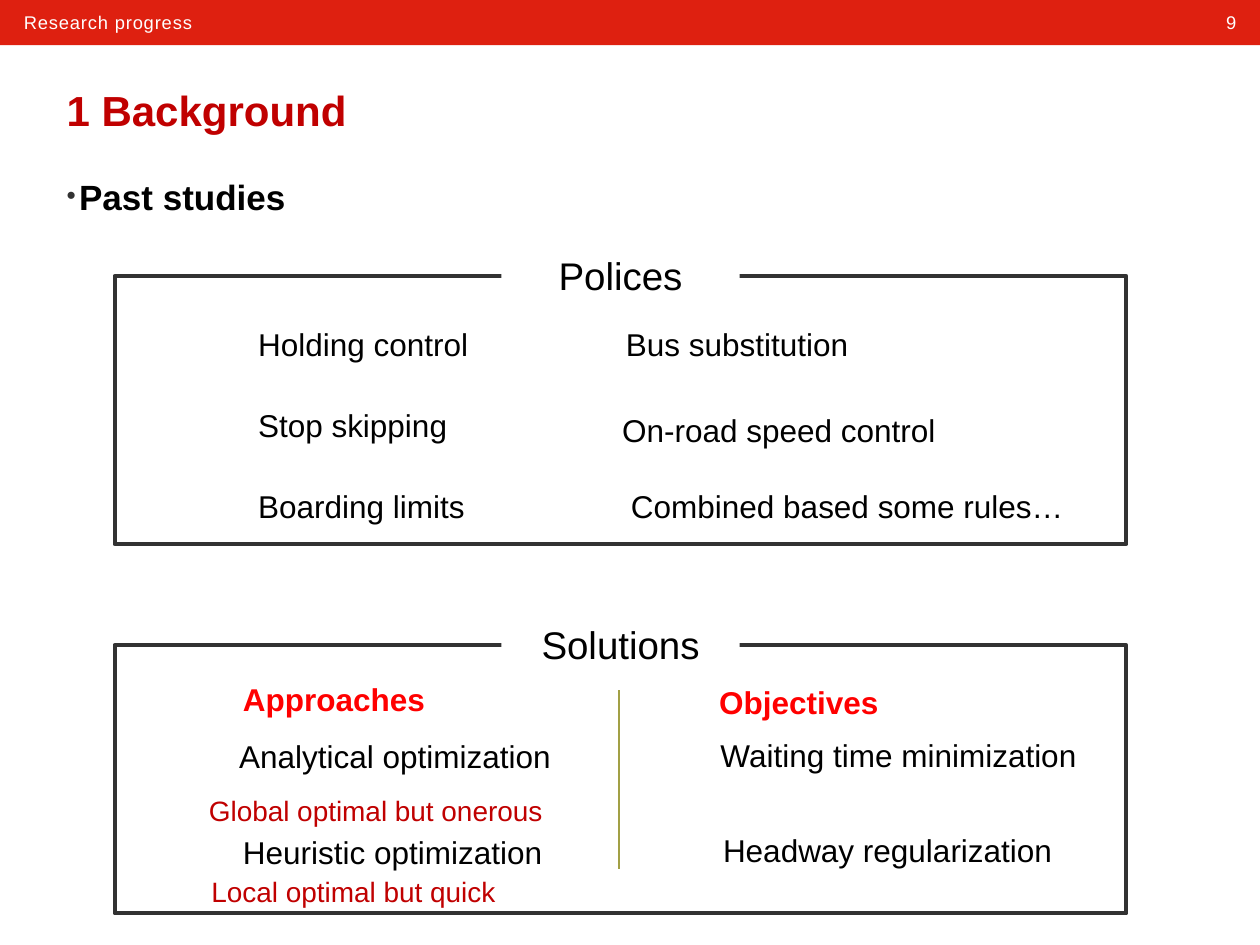
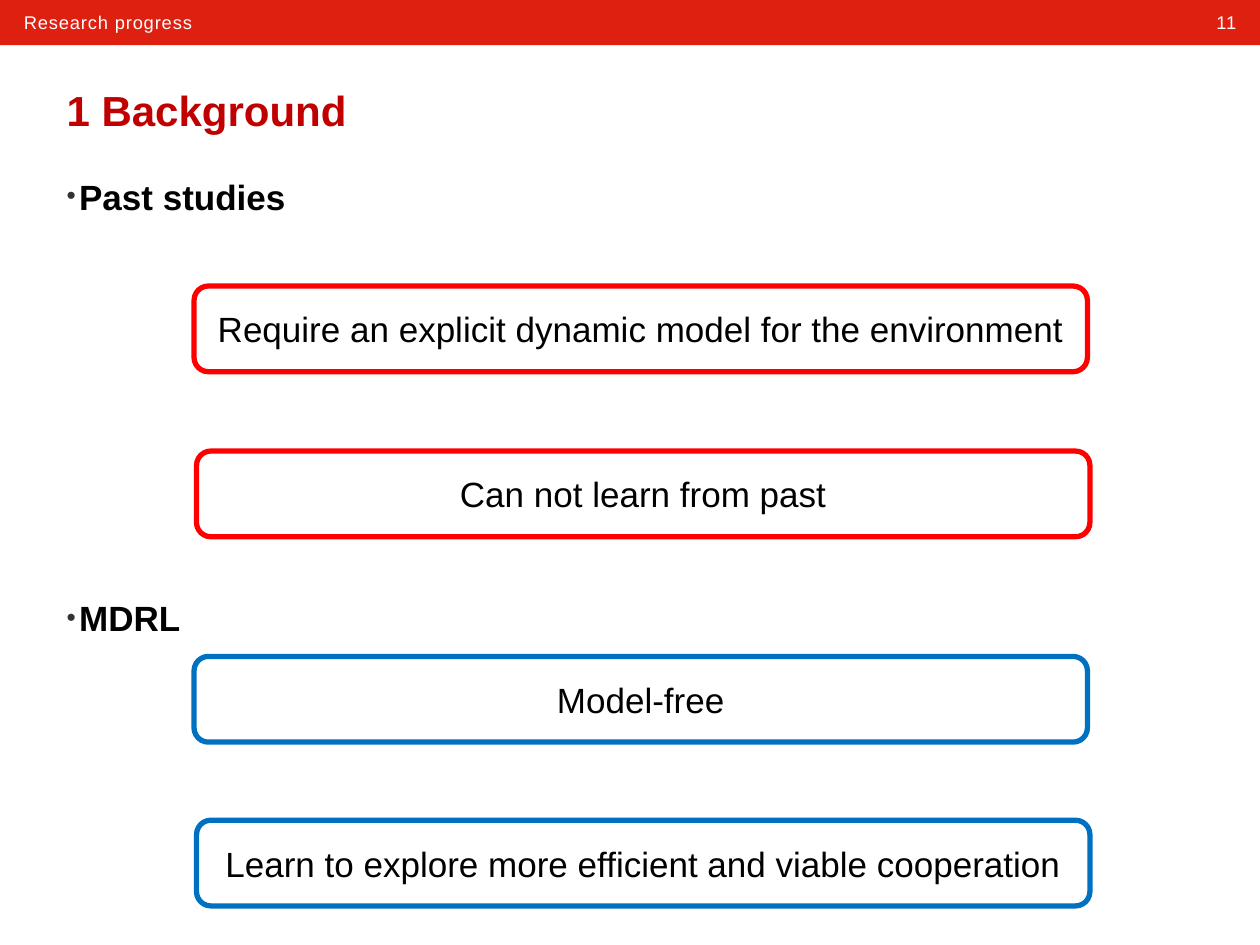
from lxml import etree
from pptx import Presentation
from pptx.dml.color import RGBColor
from pptx.enum import shapes, text
from pptx.oxml.ns import qn
from pptx.util import Inches, Pt

C = {"band": "DE2010", "title": "C00000", "alert": "FF0000", "blue": "0070C0",
     "frame": "323232", "rule": "A2A045", "black": "000000", "white": "FFFFFF"}
LEFT, CENTER, RIGHT = text.PP_ALIGN.LEFT, text.PP_ALIGN.CENTER, text.PP_ALIGN.RIGHT
TOP, MIDDLE = text.MSO_ANCHOR.TOP, text.MSO_ANCHOR.MIDDLE
RECT, ROUND = shapes.MSO_SHAPE.RECTANGLE, shapes.MSO_SHAPE.ROUNDED_RECTANGLE


def write(sp, lines, size, color="black", bold=False, align=LEFT, anchor=TOP):
    tf = sp.text_frame
    tf.text = lines
    tf.word_wrap = True
    tf.vertical_anchor = anchor
    for p in tf.paragraphs:
        p.alignment = align
        for r in p.runs:
            r.font.name, r.font.size, r.font.bold = "Arial", Pt(size), bold
            r.font.color.rgb = RGBColor.from_string(C[color])
    return tf


def box(s, kind, x, y, w, h, fill="white", line=None, weight=1):
    sp = s.shapes.add_shape(kind, Inches(x), Inches(y), Inches(w), Inches(h))
    sp.shadow.inherit = False
    sp.fill.solid()
    sp.fill.fore_color.rgb = RGBColor.from_string(C[fill])
    if line:
        sp.line.color.rgb = RGBColor.from_string(C[line])
        sp.line.width = Pt(weight)
    else:
        sp.line.fill.background()
    return sp


prs = Presentation()
prs.slide_width, prs.slide_height = Inches(10), Inches(7.5)

slides = []
for number, bullets in (("9", "Past studies"), ("11", "Past studies\nMDRL")):
    s = prs.slides.add_slide(prs.slide_layouts[6])
    slides.append(s)
    box(s, RECT, 0, 0, 10, 0.36, "band")
    for x, w, label, align in ((9.19, 0.72, number, RIGHT), (0.09, 6.25, "Research progress", LEFT)):
        sp = s.shapes.add_textbox(Inches(x), Inches(0.04), Inches(w), Inches(0.28))
        tf = write(sp, label, 10.5, "white", align=align)
        tf.paragraphs[0].runs[0].font._element.set("spc", "50")
    sp = s.shapes.add_textbox(Inches(0.43), Inches(0.55), Inches(9.13), Inches(0.64))
    write(sp, "1 Background", 24, "title", True, anchor=MIDDLE)
    sp = s.shapes.add_textbox(Inches(0.43), Inches(1.34), Inches(9.13), Inches(5.83))
    tf = write(sp, bullets, 20, bold=True)
    for i, p in enumerate(tf.paragraphs):
        p.space_before = Pt(217 * i)
        pPr = p._p.get_or_add_pPr()
        pPr.set("marL", str(Inches(0.1)))
        pPr.set("indent", str(-Inches(0.1)))
        clr = etree.SubElement(pPr, qn("a:buClr"))
        etree.SubElement(clr, qn("a:srgbClr"), val=C["frame"])
        etree.SubElement(pPr, qn("a:buSzPct"), val="75000")
        etree.SubElement(pPr, qn("a:buFont"), typeface="Arial")
        etree.SubElement(pPr, qn("a:buChar"), char="•")

studies, comparison = slides

for y, heading in ((2.19, "Polices"), (5.12, "Solutions")):
    box(studies, RECT, 0.91, y, 8.03, 2.13, line="frame", weight=2.25)
    sp = box(studies, RECT, 3.98, y - 0.24, 1.89, 0.47)
    write(sp, heading, 22, align=CENTER)

rule = studies.shapes.add_connector(shapes.MSO_CONNECTOR.STRAIGHT,
                                    Inches(4.91), Inches(5.48), Inches(4.91), Inches(6.9))
rule.line.color.rgb = RGBColor.from_string(C["rule"])
rule.line.width = Pt(1)
etree.SubElement(rule._element.spPr, qn("a:effectLst"))

plain, head, remark = (18, "black", False), (18, "alert", True), (16, "title", False)
for x, y, label, style in (
    (1.95, 2.53, "Holding control", plain),
    (1.95, 3.17, "Stop skipping", plain),
    (1.95, 3.82, "Boarding limits", plain),
    (4.87, 2.53, "Bus substitution", plain),
    (4.84, 3.21, "On-road speed control", plain),
    (4.91, 3.82, "Combined based some rules…", plain),
    (1.83, 5.35, "Approaches", head),
    (1.8, 5.8, "Analytical optimization", plain),
    (1.56, 6.25, "Global optimal but onerous", remark),
    (1.83, 6.56, "Heuristic optimization", plain),
    (1.58, 6.89, "Local optimal but quick", remark),
    (5.61, 5.37, "Objectives", head),
    (5.62, 5.79, "Waiting time minimization", plain),
    (5.64, 6.55, "Headway regularization", plain),
):
    sp = studies.shapes.add_textbox(Inches(x), Inches(y), Inches(3.87), Inches(0.4))
    write(sp, label, *style)

for x, y, label, color in (
    (1.54, 2.27, "Require an explicit dynamic model for the environment", "alert"),
    (1.56, 3.58, "Can not learn from past", "alert"),
    (1.54, 5.21, "Model-free", "blue"),
    (1.56, 6.51, "Learn to explore more efficient and viable cooperation", "blue"),
):
    sp = box(comparison, ROUND, x, y, 7.09, 0.68, line=color, weight=3)
    write(sp, label, 20, align=CENTER, anchor=MIDDLE)

prs.save("out.pptx")
